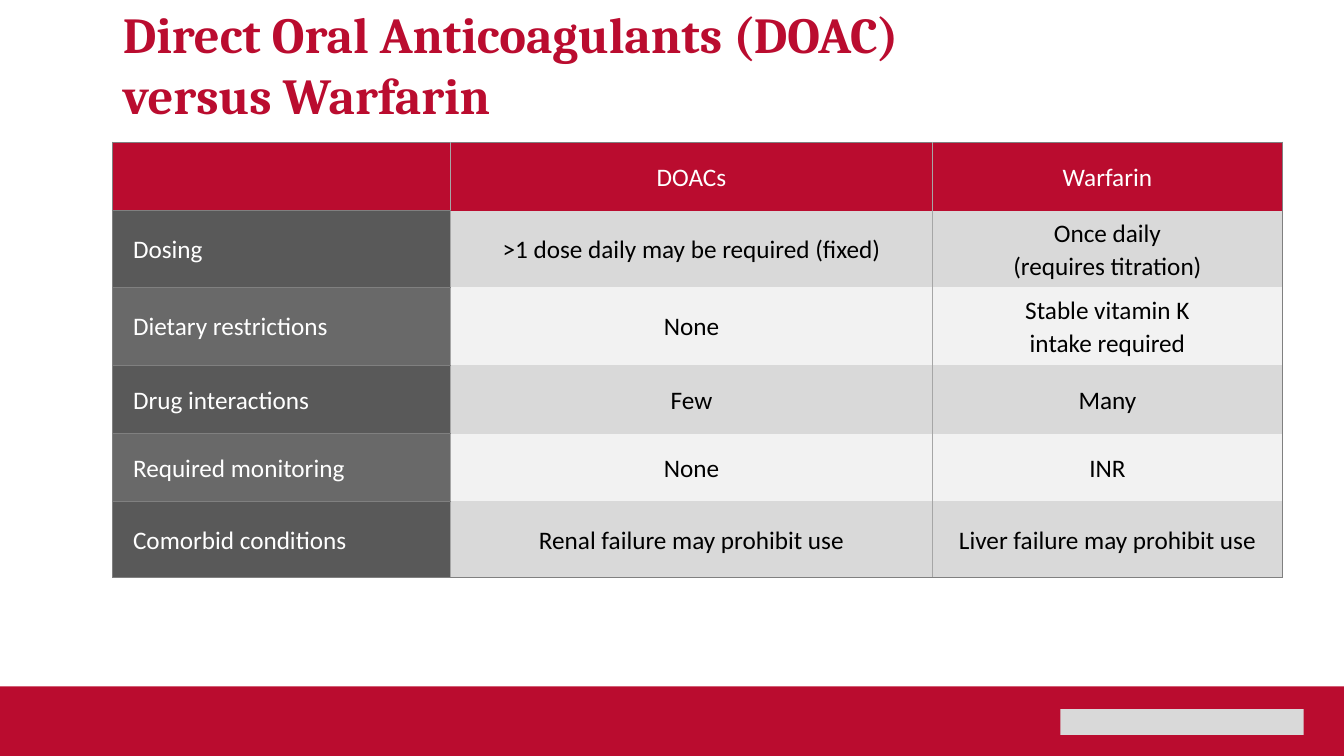
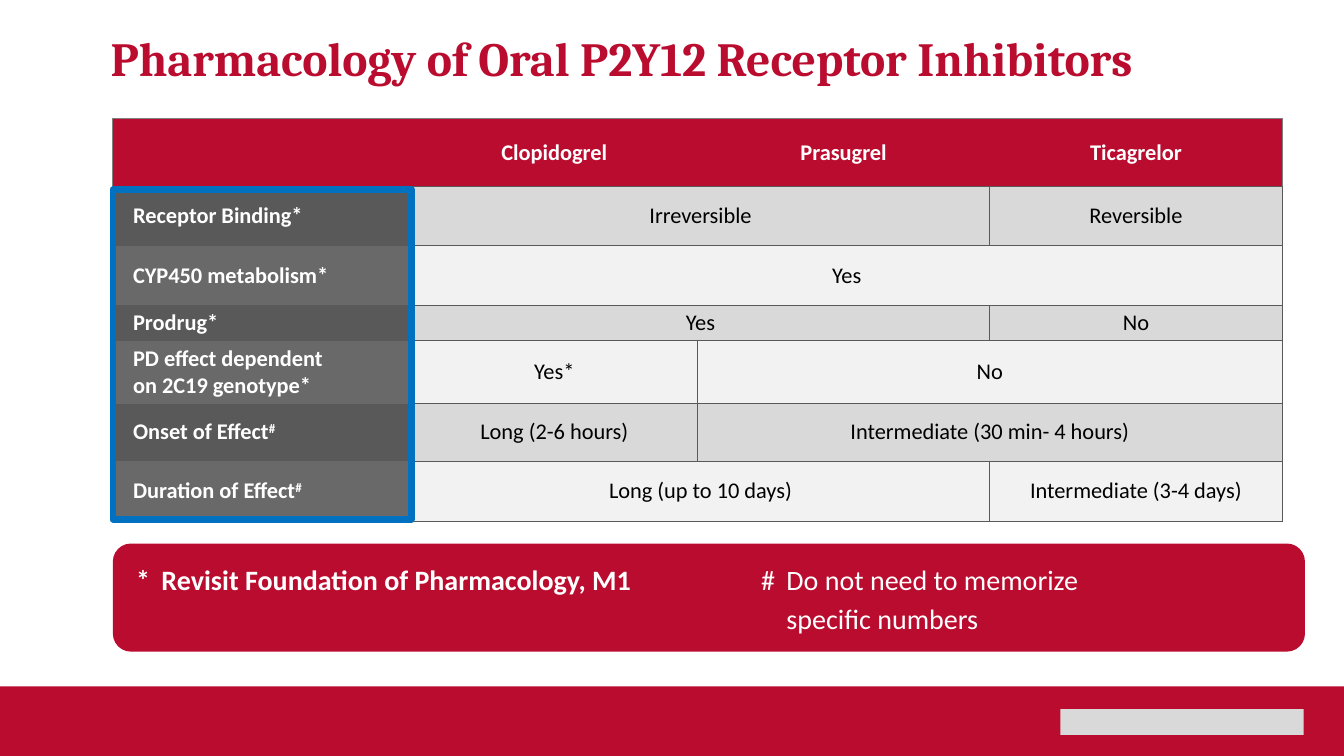
from dataclasses import dataclass

from lxml.etree import SubElement
from pptx import Presentation
from pptx.dml.color import RGBColor
from pptx.enum.shapes import MSO_SHAPE
from pptx.enum.text import MSO_ANCHOR, PP_ALIGN
from pptx.oxml.ns import qn
from pptx.util import Inches, Pt

SLIDE_WIDTH, SLIDE_HEIGHT = Inches(13.33), Inches(7.5)
BLANK_LAYOUT = 6


@dataclass(frozen=True)
class Theme:
    serif: str = "Cambria"
    sans: str = "Calibri"
    red: str = "BA0C2F"
    blue: str = "0070C0"
    white: str = "FFFFFF"
    black: str = "000000"
    label_fills: tuple = ("595959", "696969")
    body_fills: tuple = ("D9D9D9", "F2F2F2")
    light_gray: str = "D9D9D9"
    frame_line: tuple = ("808080", 1)
    column_line: tuple = ("A6A6A6", 1)
    cell_line: tuple = ("595959", 0.75)
    long_title_size: int = 36
    title_size: int = 34
    note_size: int = 20
    note_leading: int = 28


THEME = Theme()


@dataclass(frozen=True)
class TableStyle:
    size: int
    bold_heads: bool
    line_spacing: float
    margins: tuple  # side and top, inches
    borders: callable  # (row, column, last row, last column) -> lines by side


# Lengths as percentages of the slide
def across(percent):
    return round(SLIDE_WIDTH * percent / 100)


def down(percent):
    return round(SLIDE_HEIGHT * percent / 100)


def area(left, top, width, height):
    return across(left), down(top), across(width), down(height)


# Text and shapes
def style_font(font, size, color, name=THEME.sans, bold=False):
    font.size, font.name, font.bold = Pt(size), name, bold
    font.color.rgb = RGBColor.from_string(color)


def add_text_frame(slide, box, anchor=MSO_ANCHOR.TOP):
    text_frame = slide.shapes.add_textbox(*box).text_frame
    text_frame.word_wrap = True
    text_frame.vertical_anchor = anchor
    return text_frame


def add_panel(slide, kind, box, fill=None, line=None, line_width=0):
    shape = slide.shapes.add_shape(kind, *box)
    shape.shadow.inherit = False
    if fill:
        shape.fill.solid()
        shape.fill.fore_color.rgb = RGBColor.from_string(fill)
    else:
        shape.fill.background()
    if line:
        shape.line.color.rgb = RGBColor.from_string(line)
        shape.line.width = Pt(line_width)
    else:
        shape.line.fill.background()


def add_title(slide, text, box, size):
    paragraph = add_text_frame(slide, box, MSO_ANCHOR.BOTTOM).paragraphs[0]
    paragraph.text = text
    style_font(paragraph.font, size, THEME.red, THEME.serif, True)


def add_footer(slide):
    add_panel(slide, MSO_SHAPE.RECTANGLE, area(0, 90.8, 100, 9.2), THEME.red)
    add_panel(slide, MSO_SHAPE.RECTANGLE, area(78.9, 93.8, 18.1, 3.4), THEME.light_gray)


def add_note(slide, mark, text, box, bold):
    paragraph = add_text_frame(slide, box).paragraphs[0]
    paragraph.text = f"{mark}\t{text}"
    paragraph.line_spacing = Pt(THEME.note_leading)
    style_font(paragraph.font, THEME.note_size, THEME.white, bold=bold)
    properties = paragraph._p.get_or_add_pPr()
    properties.set("marL", str(Inches(0.25)))
    properties.set("indent", str(Inches(-0.25)))


# Tables
def doac_borders(row, column, last_row, last_column):
    frame, inner = THEME.frame_line, THEME.column_line
    is_label = column == 0
    return {
        "L": frame if is_label else inner,
        "R": frame if column == last_column else inner,
        "T": frame if is_label or row == 0 else None,
        "B": frame if is_label or row == last_row else None,
    }


def inhibitor_borders(row, column, last_row, last_column):
    frame, inner = THEME.frame_line, THEME.cell_line
    if row == 0:
        return {
            "L": frame if column == 0 else None,
            "R": frame if column == last_column else None,
            "T": frame,
            "B": inner if column else None,
        }
    if column == 0:
        return {"L": frame, "R": inner, "B": frame if row == last_row else None}
    return dict.fromkeys("LRTB", inner)


def draw_borders(cell, lines):
    properties = cell._tc.get_or_add_tcPr()
    for position, side in enumerate("LRTB"):
        border = SubElement(properties, qn(f"a:ln{side}"))
        properties.insert(position, border)
        line = lines.get(side)
        if line:
            color, width = line
            border.set("w", str(Pt(width)))
            fill = SubElement(border, qn("a:solidFill"))
            SubElement(fill, qn("a:srgbClr")).set("val", color)
        else:
            SubElement(border, qn("a:noFill"))


def cell_fill(row, column):
    if row == 0:
        return THEME.red
    fills = THEME.body_fills if column else THEME.label_fills
    return fills[(row - 1) % 2]


def write_cell(cell, text, row, column, style):
    is_head = row == 0 or column == 0
    side, top = style.margins
    cell.margin_left = Inches(side if column else 0.2)
    cell.margin_right = Inches(side)
    cell.margin_top = cell.margin_bottom = Inches(top)
    cell.vertical_anchor = MSO_ANCHOR.MIDDLE
    paragraph = cell.text_frame.paragraphs[0]
    body, sign, _ = text.partition("#")
    paragraph.text = body
    if sign:
        run = paragraph.add_run()
        run.text = sign
        run.font._element.set("baseline", "30000")
    paragraph.alignment = PP_ALIGN.CENTER if column else PP_ALIGN.LEFT
    paragraph.line_spacing = style.line_spacing
    style_font(paragraph.font, style.size, THEME.white if is_head else THEME.black,
               bold=is_head and style.bold_heads)


def add_grid_table(slide, left, top, widths, rows, style):
    """Each row is (height, texts); None continues the cell on its left."""
    heights = [height for height, _ in rows]
    box = area(left, top, sum(widths), sum(heights))
    table = slide.shapes.add_table(len(rows), len(widths), *box).table
    table.horz_banding = False
    for column, width in zip(table.columns, widths):
        column.width = across(width)
    last_row, last_column = len(rows) - 1, len(widths) - 1
    for r, (height, texts) in enumerate(rows):
        table.rows[r].height = down(height)
        for c, text in enumerate(texts):
            cell = table.cell(r, c)
            cell.fill.solid()
            cell.fill.fore_color.rgb = RGBColor.from_string(cell_fill(r, c))
            draw_borders(cell, style.borders(r, c, last_row, last_column))
            if text is None:
                continue
            write_cell(cell, text, r, c, style)
            end = c
            while end < last_column and texts[end + 1] is None:
                end += 1
            if end > c:
                cell.merge(table.cell(r, end))


# Slides
def add_slide(presentation):
    slide = presentation.slides.add_slide(presentation.slide_layouts[BLANK_LAYOUT])
    add_footer(slide)
    return slide


def build_doac_slide(presentation):
    slide = add_slide(presentation)
    add_title(slide, "Direct Oral Anticoagulants (DOAC)\vversus Warfarin",
              area(8.4, 7.4, 85.2, 9.7), THEME.long_title_size)
    rows = [
        (9.1, ("", "DOACs", "Warfarin")),
        (10.1, ("Dosing", ">1 dose daily may be required (fixed)",
                "Once daily\v(requires titration)")),
        (10.3, ("Dietary restrictions", "None", "Stable vitamin K\vintake required")),
        (9.1, ("Drug interactions", "Few", "Many")),
        (8.9, ("Required monitoring", "None", "INR")),
        (10.1, ("Comorbid conditions", "Renal failure may prohibit use",
                "Liver failure may prohibit use")),
    ]
    style = TableStyle(18, False, 1.07, (0.05, 0.05), doac_borders)
    add_grid_table(slide, 8.4, 18.8, (25.1, 35.9, 26), rows, style)


def build_inhibitor_slide(presentation):
    slide = add_slide(presentation)
    add_title(slide, "Pharmacology of Oral P2Y12 Receptor Inhibitors",
              area(7.5, 2.4, 92, 9.7), THEME.title_size)
    rows = [
        (8.9, ("", "Clopidogrel", "Prasugrel", "Ticagrelor")),
        (7.9, ("Receptor Binding*", "Irreversible", None, "Reversible")),
        (7.9, ("CYP450 metabolism*", "Yes", None, None)),
        (4.7, ("Prodrug*", "Yes", None, "No")),
        (8.3, ("PD effect dependent\von 2C19 genotype*", "Yes*", "No", None)),
        (7.6, ("Onset of Effect#", "Long (2-6 hours)",
               "Intermediate (30 min- 4 hours)", None)),
        (8, ("Duration of Effect#", "Long (up to 10 days)", None,
             "Intermediate (3-4 days)")),
    ]
    style = TableStyle(16, True, 1.0, (0.07, 0.04), inhibitor_borders)
    add_grid_table(slide, 8.4, 15.7, (22.2, 21.3, 21.75, 21.75), rows, style)

    # Notes below the table, and the frame around its labels
    add_panel(slide, MSO_SHAPE.ROUNDED_RECTANGLE, area(8.4, 71.9, 88.7, 14.3), THEME.red)
    add_note(slide, "*", "Revisit Foundation of Pharmacology, M1",
             area(9.4, 73, 44, 12), True)
    add_note(slide, "#", "Do not need to memorize\vspecific numbers",
             area(55.9, 73, 40, 12), False)
    add_panel(slide, MSO_SHAPE.RECTANGLE, area(8.4, 25.1, 22.2, 43.6),
              line=THEME.blue, line_width=4.75)


def main():
    presentation = Presentation()
    presentation.slide_width, presentation.slide_height = SLIDE_WIDTH, SLIDE_HEIGHT
    build_doac_slide(presentation)
    build_inhibitor_slide(presentation)
    presentation.save("out.pptx")


if __name__ == "__main__":
    main()
